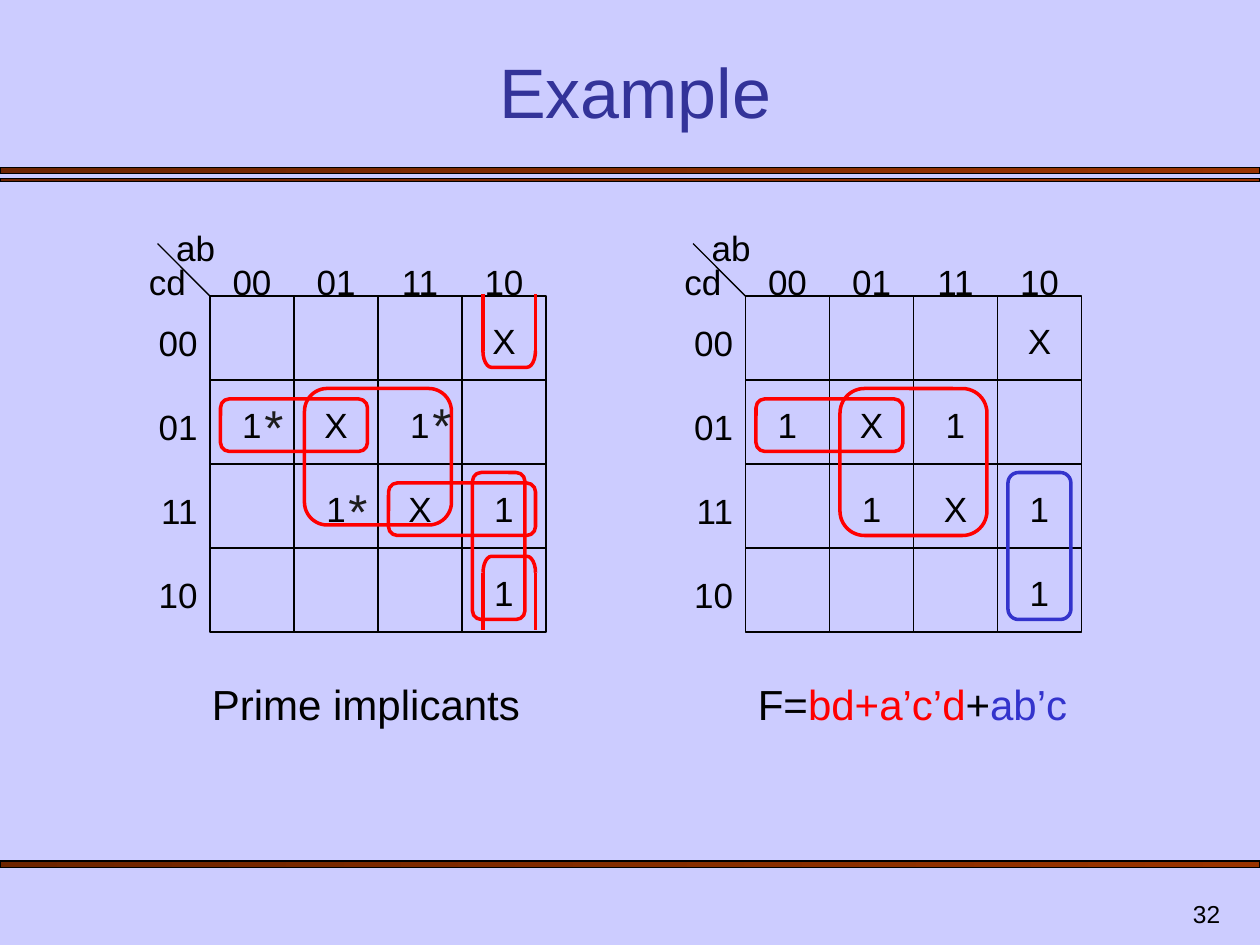
from dataclasses import dataclass

from lxml.etree import SubElement
from pptx import Presentation
from pptx.dml.color import RGBColor as RGB
from pptx.enum.shapes import MSO_CONNECTOR as Connector, MSO_SHAPE as Shape
from pptx.enum.text import MSO_ANCHOR as Anchor, PP_ALIGN as Align
from pptx.oxml.ns import qn
from pptx.util import Pt


@dataclass(frozen=True)
class Theme:
    font: str = "Arial"
    background: RGB = RGB.from_string("CCCCFF")
    heading: RGB = RGB.from_string("333399")
    ink: RGB = RGB.from_string("000000")
    star: RGB = RGB.from_string("1C1C1C")
    red: RGB = RGB.from_string("FF0000")
    blue: RGB = RGB.from_string("3333CC")
    band_dark: RGB = RGB.from_string("6D2400")
    band_light: RGB = RGB.from_string("993300")
    title_size: float = 40
    star_size: float = 28
    caption_size: float = 24
    map_size: float = 20
    number_size: float = 14
    thin: float = 0.75
    thick: float = 2


THEME = Theme()
CELL = 48
LABEL_HEIGHT = 31
GRAY_CODE = ("00", "01", "11", "10")
VALUES = ("   X", "1X1 ", " 1X1", "   1")


@dataclass(frozen=True)
class Box:
    left: float
    top: float
    width: float
    height: float

    def lengths(self) -> tuple:
        return Pt(self.left), Pt(self.top), Pt(self.width), Pt(self.height)


@dataclass(frozen=True)
class Loop:
    """Implicant loop, measured from the top left corner of its grid."""
    left: float
    top: float
    width: float
    height: float
    color: RGB = THEME.red


@dataclass(frozen=True)
class KarnaughMap:
    left: float
    top: float
    loops: tuple


@dataclass(frozen=True)
class Part:
    text: str
    color: RGB = THEME.ink


def add_text(slide, box: Box, parts: tuple, size: float, align=Align.LEFT,
             anchor=Anchor.TOP, wrap: bool = True) -> None:
    frame = slide.shapes.add_textbox(*box.lengths()).text_frame
    frame.word_wrap = wrap
    frame.vertical_anchor = anchor
    paragraph = frame.paragraphs[0]
    paragraph.alignment = align
    for part in parts:
        run = paragraph.add_run()
        run.text = part.text
        run.font.name = THEME.font
        run.font.size = Pt(size)
        run.font.color.rgb = part.color


def add_label(slide, left: float, top: float, width: float, text: str,
              align=Align.CENTER) -> None:
    add_text(slide, Box(left, top, width, LABEL_HEIGHT), (Part(text),),
             THEME.map_size, align)


def add_outline(slide, kind, box: Box, color: RGB, weight: float):
    outline = slide.shapes.add_shape(kind, *box.lengths())
    outline.shadow.inherit = False
    outline.fill.background()
    outline.line.color.rgb = color
    outline.line.width = Pt(weight)
    return outline


def add_line(slide, start: tuple, end: tuple, color: RGB, weight: float) -> None:
    line = slide.shapes.add_connector(
        Connector.STRAIGHT, *(Pt(value) for value in start + end))
    line.line.color.rgb = color
    line.line.width = Pt(weight)
    SubElement(line._element.spPr, qn("a:effectLst"))


def add_band(slide, top: float, height: float) -> None:
    band = add_outline(slide, Shape.RECTANGLE, Box(0, top, 720, height),
                       THEME.ink, THEME.thin)
    band.fill.gradient()
    band.fill.gradient_angle = 0
    dark, light = band.fill.gradient_stops
    dark.color.rgb, dark.position = THEME.band_dark, 0
    light.color.rgb, light.position = THEME.band_light, 1


def add_map(slide, kmap: KarnaughMap) -> None:
    left, top = kmap.left, kmap.top
    # Variable names and the diagonal between them
    add_label(slide, left - 26.4, top - 43.2, 38, "ab", Align.LEFT)
    add_label(slide, left - 42, top - 24, 36, "cd", Align.LEFT)
    add_line(slide, (left - 30, top - 30), (left, top), THEME.ink, THEME.thin)
    # Cells, codes and values
    for row, values in enumerate(VALUES):
        y = top + row * CELL
        add_label(slide, left - 42, y + 10.8, 42, GRAY_CODE[row], Align.RIGHT)
        for column, value in enumerate(values):
            x = left + column * CELL
            if row == 0:
                add_label(slide, x, top - 24, CELL, GRAY_CODE[column])
            add_outline(slide, Shape.RECTANGLE, Box(x, y, CELL, CELL),
                        THEME.ink, THEME.thin)
            if value != " ":
                add_label(slide, x, y + 9.6, CELL, value)
    # Implicant loops
    for loop in kmap.loops:
        box = Box(left + loop.left, top + loop.top, loop.width, loop.height)
        outline = add_outline(slide, Shape.ROUNDED_RECTANGLE, box, loop.color,
                              THEME.thick)
        outline.adjustments[0] = 0.167


def add_open_loop(slide, center: float, curve_middle: float, joint: float,
                  edge: float, rotation: float) -> None:
    """Half of a loop that wraps around the grid edge."""
    span, depth = 30, 9.4
    box = Box(center - depth / 2, curve_middle - span / 2, depth, span)
    bracket = add_outline(slide, Shape.LEFT_BRACKET, box, THEME.red, THEME.thick)
    bracket.adjustments[0] = 0.52
    bracket.rotation = rotation
    for x in (center - span / 2, center + span / 2):
        add_line(slide, (x, joint), (x, edge), THEME.red, THEME.thick)


def main() -> None:
    deck = Presentation()
    deck.slide_width, deck.slide_height = Pt(720), Pt(540)
    slide = deck.slides.add_slide(deck.slide_layouts[6])
    slide.background.fill.solid()
    slide.background.fill.fore_color.rgb = THEME.background

    # Bands, title and slide number
    for top, height in ((95.6, 3.6), (102.2, 1.4), (492, 3.6)):
        add_band(slide, top, height)
    add_text(slide, Box(42, 30, 642, 49), (Part("Example", THEME.heading),),
             THEME.title_size, Align.CENTER, Anchor.BOTTOM)
    add_text(slide, Box(554.4, 504, 150, 30), (Part("32"),),
             THEME.number_size, Align.RIGHT, Anchor.BOTTOM)

    # Prime implicants on the left, chosen cover on the right
    row_pair = Loop(6, 58.8, 84, 30)
    prime_map = KarnaughMap(120, 169.2, (
        Loop(54, 52.8, 84, 78), row_pair,
        Loop(150, 100.8, 30, 84), Loop(102, 106.8, 84, 30)))
    cover_map = KarnaughMap(426, 169.2, (
        Loop(54, 52.8, 84, 84), row_pair,
        Loop(150, 100.8, 36, 84, THEME.blue)))
    for kmap in (prime_map, cover_map):
        add_map(slide, kmap)
    add_open_loop(slide, 291, 322.6, 327.6, 360, 90)
    add_open_loop(slide, 291, 205.2, 200.8, 168, 270)

    # Stars on the essential ones
    for left, top in ((144, 223.2), (240, 222), (192, 271.2)):
        add_text(slide, Box(left, top, 24, 41), (Part("*", THEME.star),),
                 THEME.star_size)

    # Captions
    formula = (Part("F="), Part("bd+a’c’d", THEME.red), Part("+"),
               Part("ab’c", THEME.blue))
    for left, parts in ((114, (Part("Prime implicants"),)), (426, formula)):
        add_text(slide, Box(left, 384, 191, 36), parts, THEME.caption_size,
                 wrap=False)

    deck.save("out.pptx")


if __name__ == "__main__":
    main()
